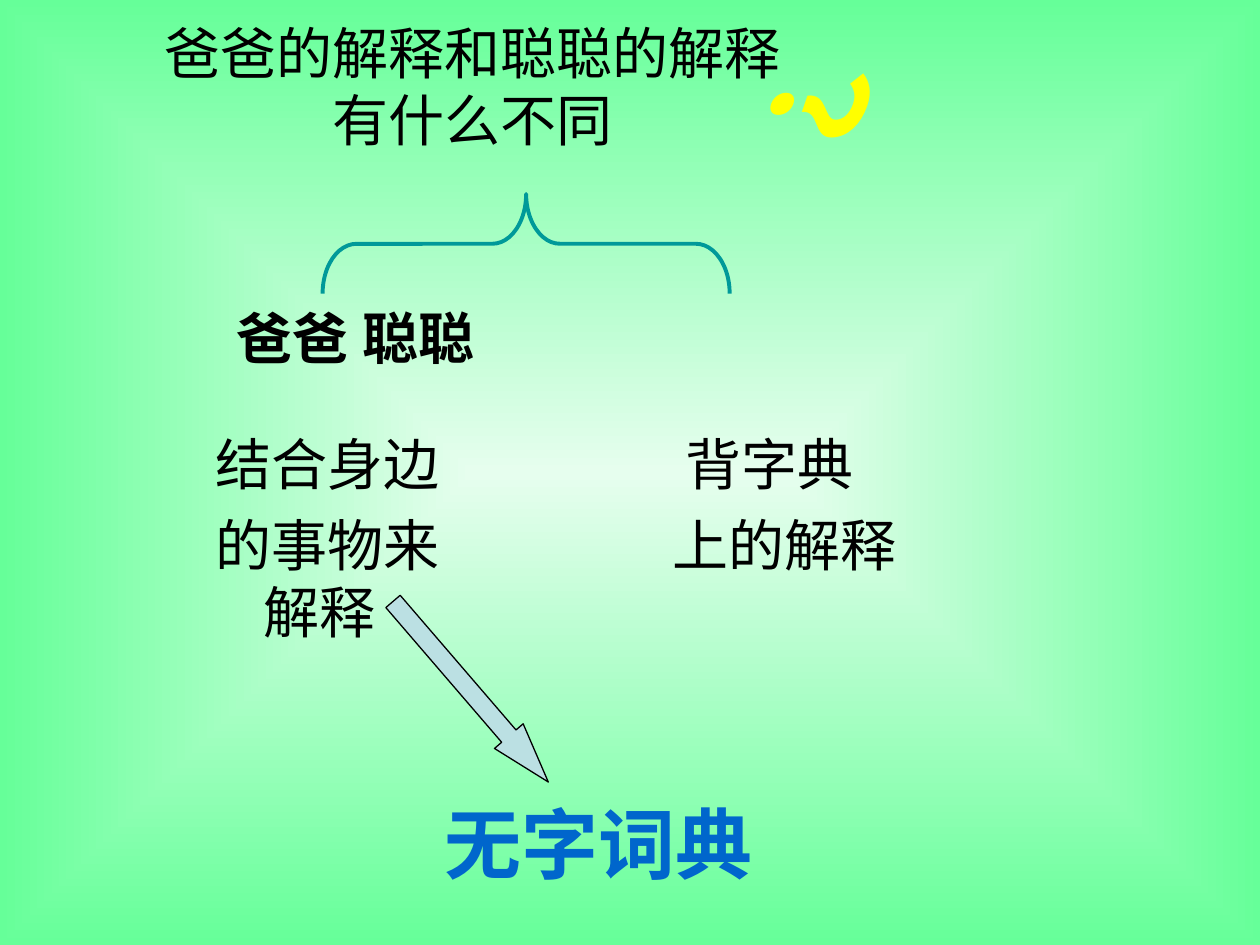
from lxml import etree
from pptx import Presentation
from pptx.dml.color import RGBColor
from pptx.enum.shapes import MSO_SHAPE
from pptx.enum.text import MSO_ANCHOR, MSO_AUTO_SIZE, PP_ALIGN
from pptx.oxml.ns import qn
from pptx.util import Pt

LEFT, CENTER = PP_ALIGN.LEFT, PP_ALIGN.CENTER
TOP, MIDDLE = MSO_ANCHOR.TOP, MSO_ANCHOR.MIDDLE
BRACE, ARROW = MSO_SHAPE.LEFT_BRACE, MSO_SHAPE.RIGHT_ARROW
LATIN, CJK = "Arial", "Noto Sans CJK SC"
COLORS = {
    "center": "E6FEEE", "edge": "66FF99", "text": "000000", "mark": "FFFF00",
    "brace": "009999", "arrow": "BBE0E3", "answer": "0066CC", "halo": "99CCFF",
}

# Boxes are left, top, width, height in points
TITLE = ("爸爸的解释和聪聪的解释\v有什么不同", (0, 0, 540.7, 97.9))
PEOPLE = ("爸爸\t聪聪", (128.2, 169.9, 507, 60))
SECOND_PERSON_TAB = 157.6
QUESTION_MARK = ("？", (448.6, 28.8, 84.2, 67.7))
ANSWER = ("无字词典", (247, 451.4, 226.8, 67.7))
HANGING = (27.4, -27.4)
SPACE = (7.2, 0)
EXPLANATIONS = [  # left edge, then lines with their margin and first indent
    (115.9, [("结合身边", HANGING), ("的事物来解释", HANGING)]),
    (377.3, [("背字典", SPACE), ("上的解释", HANGING)]),
]
EXPLANATION_TOP, EXPLANATION_WIDTH, EXPLANATION_HEIGHT = 241.9, 147.6, 198.7
SHAPES = [  # kind, box, rotation, adjustments, fill, line, line width
    (BRACE, (272.2, 23, 56.9, 232.6), 90, (0.34, 0.5), None, "brace", 2.25),
    (ARROW, (200.9, 384.5, 136.1, 21.6), 49.3, (0.5, 1.6), "arrow", "text", 0.75),
]


def rgb(name):
    return RGBColor.from_string(COLORS[name])


def paint_background(slide):
    """Gradient running from the middle of the slide out to its edges."""
    fill = slide.background.fill
    fill.gradient()
    for stop, name, position in zip(fill.gradient_stops, ("center", "edge"), (0, 1)):
        stop.color.rgb = rgb(name)
        stop.position = position
    gradient = next(slide.element.iter(qn("a:gradFill")))
    gradient.remove(gradient.find(qn("a:lin")))
    path = etree.SubElement(gradient, qn("a:path"), {"path": "rect"})
    etree.SubElement(path, qn("a:fillToRect"), dict.fromkeys("ltrb", "50000"))


def place(shape, box):
    for side, value in zip(("left", "top", "width", "height"), box):
        setattr(shape, side, Pt(value))


def write(shape, lines, size=32, color="text", font=LATIN, bold=False,
          italic=False, align=LEFT, anchor=TOP, wrap=True, outline=None):
    """Fill a shape with (text, (margin, indent)) lines; outline is (colour, width)."""
    frame = shape.text_frame
    frame.auto_size = MSO_AUTO_SIZE.NONE
    frame.word_wrap, frame.vertical_anchor = wrap, anchor
    for number, (text, (margin, indent)) in enumerate(lines):
        paragraph = frame.add_paragraph() if number else frame.paragraphs[0]
        paragraph.text = text
        paragraph.alignment = align
        if number:
            paragraph.space_before = Pt(8)
        properties = paragraph._p.get_or_add_pPr()
        properties.set("marL", str(Pt(margin)))
        properties.set("indent", str(Pt(indent)))
        for run in paragraph.runs:
            run_format = dict(name=font, size=Pt(size), bold=bold, italic=italic)
            for key, value in run_format.items():
                setattr(run.font, key, value)
            run.font.color.rgb = rgb(color)
            run_properties = run._r.get_or_add_rPr()
            etree.SubElement(run_properties, qn("a:ea"), typeface=CJK)
            if outline:
                line = etree.Element(qn("a:ln"), w=str(Pt(outline[1])))
                solid = etree.SubElement(line, qn("a:solidFill"))
                etree.SubElement(solid, qn("a:srgbClr"), val=COLORS[outline[0]])
                run_properties.insert(0, line)


def add_text(slide, box, lines, **text_format):
    text_box = slide.shapes.add_textbox(*map(Pt, box))
    write(text_box, lines, **text_format)
    return text_box


def add_people(slide):
    text, box = PEOPLE
    people = add_text(slide, box, [(text, (0, 0))], bold=True)
    properties = people.text_frame.paragraphs[0]._p.get_or_add_pPr()
    tabs = etree.SubElement(properties, qn("a:tabLst"))
    etree.SubElement(tabs, qn("a:tab"), pos=str(Pt(SECOND_PERSON_TAB)), algn="l")


def add_question_mark(slide):
    text, box = QUESTION_MARK
    mark = add_text(slide, box, [(text, (0, 0))], size=72, color="mark", font=CJK,
                    bold=True, italic=True, anchor=MIDDLE, wrap=False,
                    outline=("mark", 0.75))
    mark.rotation = 90
    frame = mark.text_frame
    frame.margin_left = frame.margin_right = Pt(3.6)
    frame.margin_top = frame.margin_bottom = Pt(7.2)
    frame._txBody.bodyPr.set("vert", "eaVert")


def add_outline_shape(slide, kind, box, rotation, adjustments, fill, line, width):
    shape = slide.shapes.add_shape(kind, *map(Pt, box))
    shape.shadow.inherit = False
    shape.rotation = rotation
    for number, value in enumerate(adjustments):
        shape.adjustments[number] = value
    if fill:
        shape.fill.solid()
        shape.fill.fore_color.rgb = rgb(fill)
    else:
        shape.fill.background()
    shape.line.color.rgb = rgb(line)
    shape.line.width = Pt(width)


def main():
    presentation = Presentation()
    presentation.slide_width, presentation.slide_height = Pt(720), Pt(540)
    slide = presentation.slides.add_slide(presentation.slide_layouts[5])
    paint_background(slide)

    title_text, title_box = TITLE
    place(slide.shapes.title, title_box)
    write(slide.shapes.title, [(title_text, (0, 0))], align=CENTER, anchor=MIDDLE)

    add_people(slide)
    add_question_mark(slide)
    for left, lines in EXPLANATIONS:
        box = (left, EXPLANATION_TOP, EXPLANATION_WIDTH, EXPLANATION_HEIGHT)
        add_text(slide, box, lines)
    for shape in SHAPES:
        add_outline_shape(slide, *shape)

    answer_text, answer_box = ANSWER
    add_text(slide, answer_box, [(answer_text, (0, 0))], size=44, color="answer",
             font=CJK, bold=True, wrap=False, outline=("halo", 1.5))
    presentation.save("out.pptx")


if __name__ == "__main__":
    main()
